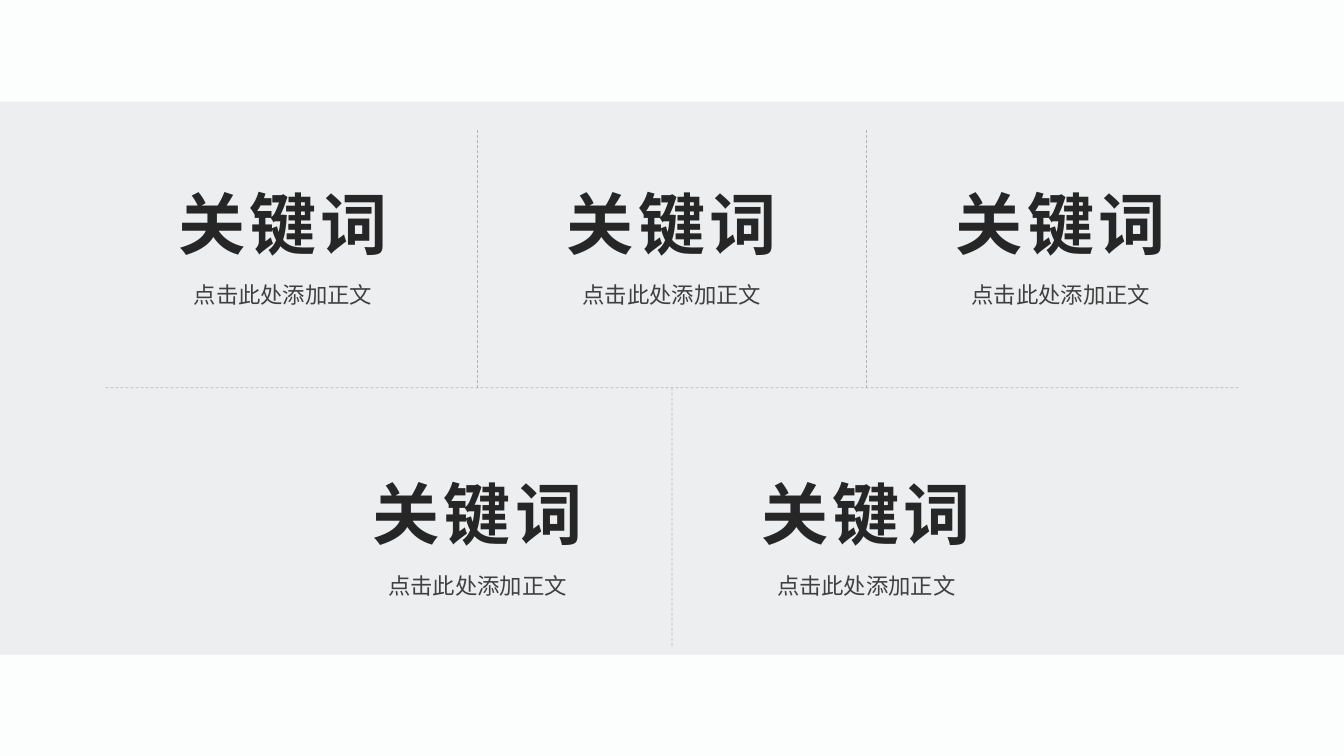
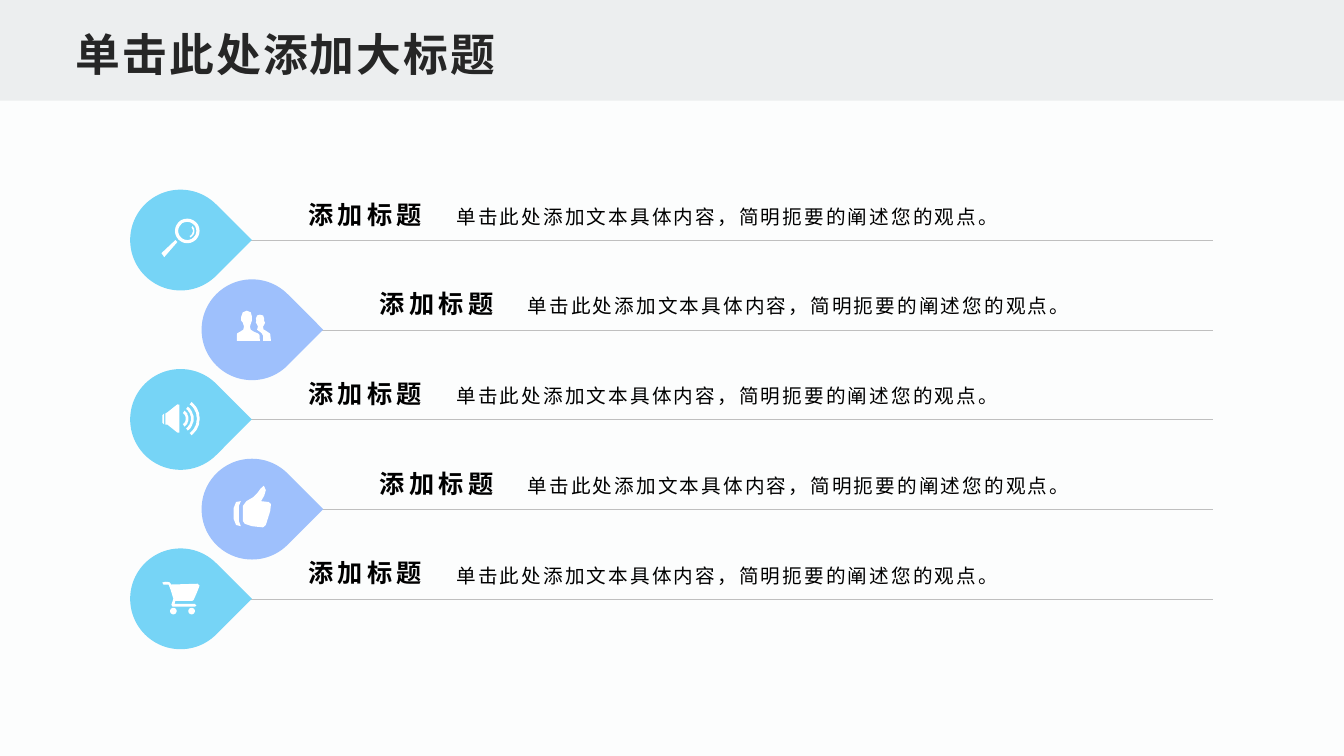
from math import cos, radians, sin

from lxml import etree
from pptx import Presentation
from pptx.dml.color import RGBColor
from pptx.enum.dml import MSO_LINE
from pptx.enum.lang import MSO_LANGUAGE_ID
from pptx.enum.shapes import MSO_CONNECTOR, MSO_SHAPE
from pptx.enum.text import MSO_ANCHOR, MSO_AUTO_SIZE, PP_ALIGN
from pptx.oxml.ns import qn
from pptx.util import Cm, Pt

BACKGROUND = RGBColor(0xFC, 0xFD, 0xFD)
BAND = RGBColor(0xEC, 0xEE, 0xEF)
DARK = RGBColor(0x26, 0x26, 0x26)
BODY = RGBColor(0x40, 0x40, 0x40)
BLACK = RGBColor(0, 0, 0)
WHITE = RGBColor(0xFF, 0xFF, 0xFF)
DIVIDER = RGBColor(0x80, 0x80, 0x80)
RULE = RGBColor(0xBF, 0xBF, 0xBF)
SKY = RGBColor(0x76, 0xD4, 0xF6)
PERIWINKLE = RGBColor(0x9E, 0xC0, 0xFC)

FONT = "Arial"
CHINESE = MSO_LANGUAGE_ID.SIMPLIFIED_CHINESE
LEFT, CENTER = PP_ALIGN.LEFT, PP_ALIGN.CENTER
MIDDLE, BOTTOM = MSO_ANCHOR.MIDDLE, MSO_ANCHOR.BOTTOM
FIXED_SIZE = MSO_AUTO_SIZE.NONE
DASH = MSO_LINE.DASH
STRAIGHT = MSO_CONNECTOR.STRAIGHT
RECTANGLE, TEARDROP = MSO_SHAPE.RECTANGLE, MSO_SHAPE.TEAR

SLIDE_WIDTH, SLIDE_HEIGHT = 33.87, 19.05
TITLE_LAYOUT, BLANK_LAYOUT = 5, 6

KEYWORD = "关键词"
KEYWORD_BODY = "点击此处添加正文"
KEYWORD_STEP = 9.8
KEYWORD_ROWS = [(3, 4.17, 3.28), (2, 11.48, 9.77)]
DIVIDER_HEIGHT = 6.5

ITEM_TITLE = "添加标题"
ITEM_BODY = "单击此处添加文本具体内容，简明扼要的阐述您的观点。"
ITEM_STEP, ITEM_INDENT = 2.26, 1.8
DROP_SIZE = 2.54


def arc(x, y, radius, start=0, end=360):
    """Return points along an arc, with angles in degrees."""
    steps = 24
    angles = [radians(start + (end - start) * i / steps) for i in range(steps + 1)]
    return [(x + radius * cos(a), y + radius * sin(a)) for a in angles]


def arc_band(x, y, radius, thickness, start, end):
    """Return the outline of a curved stripe."""
    return arc(x, y, radius, start, end) + arc(x, y, radius - thickness, end, start)


MAGNIFIER = [
    [(-13, 0), (-8, 5), (-41, 43), (-48, 33)],
    arc(17, -23, 31),
    arc(17, -23, 23),
    arc_band(17, -23, 18, 4, -40, 65),
]
PEOPLE = [
    [(20, 28), (19, 13), (15, 9), (5, 5), (-3, 0), (-5, -8), (-2, -18),
     (0, -23), (0, -33), (-3, -44), (-13, -48), (-23, -44), (-27, -33),
     (-27, -23), (-23, -18), (-20, -8), (-22, 0), (-30, 5), (-37, 9),
     (-38, 13), (-38, 28)],
    [(48, 28), (46, 10), (36, 3), (29, -1), (28, -8), (31, -13), (33, -18),
     (31, -22), (31, -28), (28, -36), (20, -38), (13, -36), (10, -28),
     (11, -22), (10, -18), (13, -13), (15, -8), (13, 0), (24, 8), (28, 15),
     (28, 28)],
]
SPEAKER = [
    [(-41, -15), (-41, 13), (-46, 8), (-46, -10)],
    [(-38, -15), (-33, -18), (-8, -38), (-3, -37), (-3, 33), (-8, 33),
     (-33, 13), (-38, 13)],
] + [arc_band(-5, -2, radius, 7, -52, 52) for radius in (25, 38, 53)]
THUMB = [
    [(23, -20), (31, -34), (35, -48), (30, -59), (22, -52), (14, -41),
     (3, -30), (-14, -20), (-23, -8), (-23, 30), (-18, 37), (0, 43),
     (28, 46), (35, 40), (46, 5), (48, -13), (42, -18)],
    [(-28, -20), (-40, -18), (-46, -3), (-46, 25), (-40, 40), (-28, 43),
     (-33, 30), (-33, -8)],
]
CART = [
    [(-46, -41), (-38, -43), (-28, -42), (-23, -36), (43, -38), (48, -33),
     (41, -15), (33, 3), (30, 5), (-13, 5), (-15, 13), (36, 13), (40, 17),
     (36, 20), (-20, 20), (-23, 15), (-18, 0), (-25, -23), (-30, -36),
     (-43, -36)],
    arc(-18, 31, 8),
    arc(28, 31, 8),
]
ICONS = [MAGNIFIER, PEOPLE, SPEAKER, THUMB, CART]


def place(shape, left, top, width, height):
    """Position a shape in centimetres."""
    shape.left, shape.top = Cm(left), Cm(top)
    shape.width, shape.height = Cm(width), Cm(height)


def paint(shape, color):
    """Give a shape a flat fill without outline or shadow."""
    shape.shadow.inherit = False
    shape.fill.solid()
    shape.fill.fore_color.rgb = color
    shape.line.fill.background()


def write(shape, text, size, color, bold=False, spacing=0, align=CENTER):
    """Put one formatted paragraph into a shape and return it."""
    shape.text_frame.text = text
    paragraph = shape.text_frame.paragraphs[0]
    paragraph.alignment = align
    run = paragraph.runs[0]
    font = run.font
    font.name, font.size, font.bold = FONT, Pt(size), bold
    font.color.rgb = color
    font.language_id = CHINESE
    properties = run._r.get_or_add_rPr()
    properties.set("spc", str(round(spacing * 100)))
    etree.SubElement(properties, qn("a:ea")).set("typeface", FONT)
    return paragraph


def add_text(slide, box, text, size, color, anchor=MIDDLE, inset=0.25, **style):
    """Add a wrapping text box and return its paragraph."""
    shape = slide.shapes.add_textbox(*map(Cm, box))
    frame = shape.text_frame
    frame.word_wrap = True
    frame.vertical_anchor = anchor
    frame.margin_left = frame.margin_right = Cm(inset)
    frame.margin_top = frame.margin_bottom = Cm(inset / 2)
    return write(shape, text, size, color, **style)


def add_band(slide, top, height):
    """Add a grey band across the slide and return it."""
    band = slide.shapes.add_shape(RECTANGLE, 0, Cm(top), Cm(SLIDE_WIDTH), Cm(height))
    paint(band, BAND)
    return band


def add_line(slide, start, end, color, width):
    """Add a straight line without shadow and return it."""
    line = slide.shapes.add_connector(STRAIGHT, *map(Cm, start + end))
    line.line.color.rgb = color
    line.line.width = Pt(width)
    etree.SubElement(line._element.spPr, qn("a:effectLst"))
    return line


def add_divider(slide, start, end):
    """Add a dashed, half transparent line."""
    line = add_line(slide, start, end, DIVIDER, 0.5)
    line.line.dash_style = DASH
    color = line._element.spPr.find(".//" + qn("a:srgbClr"))
    etree.SubElement(color, qn("a:alpha")).set("val", "50000")


def add_icon(slide, x, y, contours):
    """Draw white outlines, in hundredths of a centimetre, around a centre."""
    builder = slide.shapes.build_freeform(*contours[0][0], scale=Cm(0.01))
    for contour in contours:
        builder.move_to(*contour[0])
        builder.add_line_segments(contour[1:], close=True)
    paint(builder.convert_to_shape(Cm(x), Cm(y)), WHITE)


def add_keyword(slide, x, top):
    """Add a large keyword with its caption, centred on x."""
    width, height = 9.07, 2.46
    left = x - width / 2
    add_text(slide, (left, top, width, height), KEYWORD, 48, DARK,
             anchor=BOTTOM, inset=0, bold=True, spacing=3)
    caption = add_text(slide, (left, top + height, width, 1.27), KEYWORD_BODY,
                       16, BODY, inset=0)
    caption.line_spacing = 1.5


def add_item(slide, index, icon):
    """Add one list row: rule, teardrop, icon, text and label."""
    indent = ITEM_INDENT * (index % 2)
    x, y = 4.55 + indent, 6.05 + ITEM_STEP * index
    corner = x - DROP_SIZE / 2, y - DROP_SIZE / 2
    add_line(slide, (3.35 + indent, y), (30.56, y), RULE, 0.25)
    drop = slide.shapes.add_shape(TEARDROP, *map(Cm, corner + (DROP_SIZE, DROP_SIZE)))
    drop.rotation = 45
    paint(drop, PERIWINKLE if index % 2 else SKY)
    add_icon(slide, x, y, icon)
    top = y - 1.19
    body = add_text(slide, (11.25 + indent, top, 17.53, 1.07), ITEM_BODY, 14,
                    BLACK, spacing=1.5, align=LEFT)
    body.line_spacing = 1.2
    add_text(slide, (7.26 + indent, top, 3.89, 1.07), ITEM_TITLE, 18, BLACK,
             bold=True, spacing=3)


def add_title(slide, text):
    """Format the title placeholder in front of a band."""
    title = slide.shapes.title
    band = add_band(slide, 0, 2.54)
    title.element.addprevious(band.element)
    place(title, 1.7, 0.43, 30.48, 1.7)
    frame = title.text_frame
    frame.auto_size = FIXED_SIZE
    frame.vertical_anchor = BOTTOM
    frame.margin_left = frame.margin_right = Cm(0.2)
    frame.margin_top = frame.margin_bottom = Cm(0.1)
    write(title, text, 32, DARK, bold=True, spacing=1.5, align=LEFT)


def build_keywords(presentation):
    """Build the slide with five keywords in two rows."""
    slide = presentation.slides.add_slide(presentation.slide_layouts[BLANK_LAYOUT])
    add_band(slide, 2.56, 13.94)
    middle = SLIDE_WIDTH / 2
    for count, text_top, divider_top in KEYWORD_ROWS:
        first = middle - KEYWORD_STEP * (count - 1) / 2
        for column in range(count):
            x = first + KEYWORD_STEP * column
            add_keyword(slide, x, text_top)
            if column:
                divider = x - KEYWORD_STEP / 2
                add_divider(slide, (divider, divider_top),
                            (divider, divider_top + DIVIDER_HEIGHT))
    add_divider(slide, (2.66, 9.77), (31.21, 9.77))


def build_list(presentation):
    """Build the slide with five staggered list rows."""
    slide = presentation.slides.add_slide(presentation.slide_layouts[TITLE_LAYOUT])
    add_title(slide, "单击此处添加大标题")
    for index, icon in enumerate(ICONS):
        add_item(slide, index, icon)


def main():
    """Create and save the presentation."""
    presentation = Presentation()
    presentation.slide_width, presentation.slide_height = Cm(SLIDE_WIDTH), Cm(SLIDE_HEIGHT)
    background = presentation.slide_master.background.fill
    background.solid()
    background.fore_color.rgb = BACKGROUND
    build_keywords(presentation)
    build_list(presentation)
    presentation.save("out.pptx")


if __name__ == "__main__":
    main()
